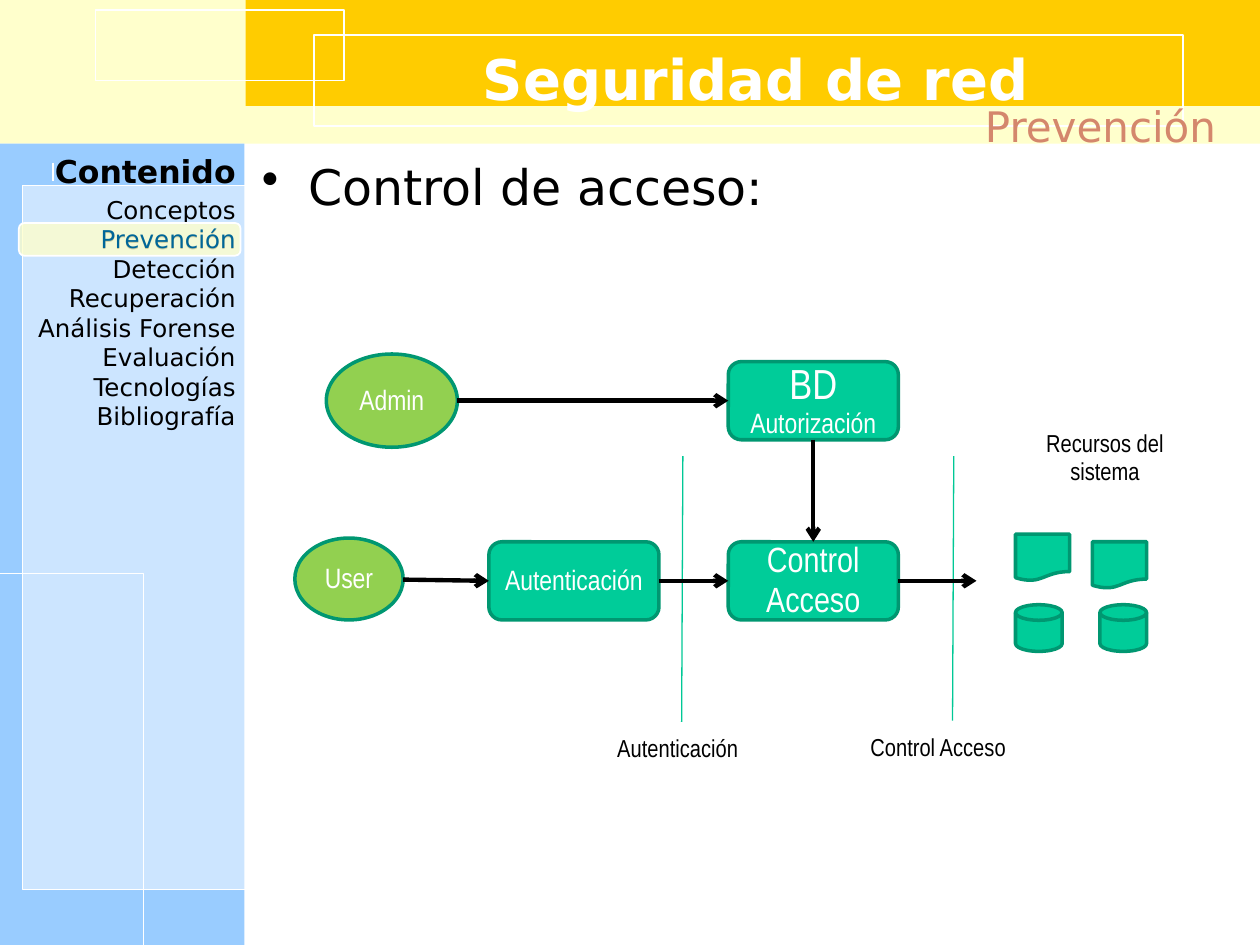
from lxml.etree import SubElement
from pptx import Presentation
from pptx.dml.color import RGBColor
from pptx.enum.shapes import MSO_CONNECTOR, MSO_SHAPE
from pptx.enum.text import MSO_ANCHOR, PP_ALIGN
from pptx.oxml.ns import qn
from pptx.util import Inches, Pt

COLORS = {
    "white": "FFFFFF", "black": "000000", "cream": "FFFFCC", "gold": "FFCC00",
    "sky": "99CCFF", "salmon": "D4876C", "blue": "006699", "teal": "00CC99",
    "border": "009771", "divider": "00C896", "lime": "92D050",
}
SANS = "DejaVu Sans"
NARROW = "Arial Narrow"


def write_text(shape, text, size=14, color="black", font=SANS, bold=False,
               align=PP_ALIGN.LEFT, anchor=MSO_ANCHOR.TOP, spacing=1.0):
    frame = shape.text_frame
    frame.word_wrap = True
    frame.vertical_anchor = anchor
    for index, line in enumerate(text.split("\n")):
        paragraph = frame.add_paragraph() if index else frame.paragraphs[-1]
        paragraph.alignment = align
        paragraph.line_spacing = spacing
        run = paragraph.add_run()
        run.text = line
        run.font.size = Pt(size)
        run.font.name = font
        run.font.bold = bold
        run.font.color.rgb = RGBColor.from_string(COLORS[color])
    return shape


def add_box(kind, box, fill=None, line=None, width=0.75, opacity=100):
    shape = slide.shapes.add_shape(kind, *[Inches(length) for length in box])
    shape.shadow.inherit = False
    if fill:
        shape.fill.solid()
        shape.fill.fore_color.rgb = RGBColor.from_string(COLORS[fill])
        if opacity < 100:
            color = shape.fill._xPr.find(qn("a:solidFill"))[0]
            SubElement(color, qn("a:alpha"), val=str(opacity * 1000))
    else:
        shape.fill.background()
    if line:
        shape.line.color.rgb = RGBColor.from_string(COLORS[line])
        shape.line.width = Pt(width)
    else:
        shape.line.fill.background()
    return shape


presentation = Presentation()
presentation.slide_width = Inches(10)
presentation.slide_height = Inches(7.5)
slide = presentation.slides.add_slide(presentation.slide_layouts[6])

for box, fill, line, width, opacity in [
    ((0, 0, 10, 1.14), "cream", None, 0, 100),
    ((1.95, 0, 8.05, 0.84), "gold", None, 0, 100),
    ((2.49, 0.28, 6.9, 0.72), None, "white", 1, 100),
    ((0.76, 0.08, 1.97, 0.56), None, "white", 0.75, 100),
    ((0, 1.14, 1.94, 6.36), "sky", None, 0, 100),
    ((-0.02, 4.55, 1.16, 2.96), None, "white", 0.75, 100),
    ((0.18, 1.47, 1.77, 5.59), "white", "white", 0.75, 50),
]:
    add_box(MSO_SHAPE.RECTANGLE, box, fill, line, width, opacity)

topics = ["Conceptos", "Prevención", "Detección", "Recuperación",
          "Análisis Forense", "Evaluación", "Tecnologías", "Bibliografía"]
right = {"align": PP_ALIGN.RIGHT}
center = {"align": PP_ALIGN.CENTER}
label = {"font": NARROW, "spacing": 0.94}
node = {**label, **center, "color": "white", "anchor": MSO_ANCHOR.MIDDLE}

text_boxes = [
    ((0, 1.5, 1.97, 1.97), "\n".join(topics), right),
    ((0, 1.16, 1.97, 0.4), "Contenido", {**right, "size": 18, "bold": True}),
    ((2.08, 0.22, 7.84, 0.8), "Seguridad de red",
     {**center, "size": 32, "color": "white", "bold": True,
      "anchor": MSO_ANCHOR.MIDDLE}),
    ((1.95, 0.75, 7.8, 0.57), "Prevención",
     {**right, "size": 24, "color": "salmon"}),
    ((4.8, 5.79, 1.35, 0.32), "Autenticación", label),
    ((6.81, 5.78, 1.54, 0.32), "Control Acceso", label),
    ((8, 3.37, 1.54, 0.54), "Recursos del sistema", {**label, **center}),
]
for box, text, style in text_boxes:
    shape = slide.shapes.add_textbox(*[Inches(length) for length in box])
    write_text(shape, text, **style)

body = slide.shapes.add_textbox(Inches(1.98), Inches(1.28), Inches(8.02), Inches(6.2))
write_text(body, "Control de acceso:", size=28, spacing=0.8)
properties = body.text_frame.paragraphs[0]._p.get_or_add_pPr()
properties.set("marL", str(Inches(0.37)))
properties.set("indent", str(Inches(-0.37)))
SubElement(properties, qn("a:buChar"), char="•")

highlight = add_box(MSO_SHAPE.ROUNDED_RECTANGLE, (0.15, 1.77, 1.76, 0.26),
                    "cream", "white", 1, 80)
highlight.adjustments[0] = 0.17
current = slide.shapes.add_textbox(Inches(0.14), Inches(1.73), Inches(1.83), Inches(0.33))
write_text(current, "Prevención", color="blue", **right)

nodes = {}
for name, kind, box, fill, text, size in [
    ("authentication", MSO_SHAPE.ROUNDED_RECTANGLE, (3.88, 4.3, 1.35, 0.62),
     "teal", "Autenticación", 16),
    ("access", MSO_SHAPE.ROUNDED_RECTANGLE, (5.78, 4.3, 1.35, 0.62),
     "teal", "Control Acceso", 20),
    ("database", MSO_SHAPE.ROUNDED_RECTANGLE, (5.78, 2.87, 1.35, 0.62),
     "teal", "BD ", 24),
    ("user", MSO_SHAPE.OVAL, (2.34, 4.27, 0.86, 0.65), "lime", "User", 16),
    ("admin", MSO_SHAPE.OVAL, (2.59, 2.81, 1.04, 0.74), "lime", "Admin", 16),
]:
    nodes[name] = add_box(kind, box, fill, "border", 2)
    write_text(nodes[name], text, size=size, **node)
write_text(nodes["database"], "Autorización", size=16, **node)

for kind, box in [
    (MSO_SHAPE.FLOWCHART_MAGNETIC_DISK, (8.06, 4.8, 0.37, 0.37)),
    (MSO_SHAPE.FLOWCHART_MAGNETIC_DISK, (8.73, 4.8, 0.37, 0.37)),
    (MSO_SHAPE.FLOWCHART_DOCUMENT, (8.06, 4.24, 0.43, 0.37)),
    (MSO_SHAPE.FLOWCHART_DOCUMENT, (8.67, 4.3, 0.43, 0.37)),
]:
    add_box(kind, box, "teal", "border", 2)

for points, color, width, start, end in [
    ((0.42, 1.29, 0.42, 1.44), "white", 0.75, None, None),
    ((5.42, 3.62, 5.41, 5.73), "divider", 0.75, None, None),
    ((7.57, 3.62, 7.56, 5.72), "divider", 0.75, None, None),
    ((3.63, 3.18, 5.78, 3.18), "black", 2.5, None, ("database", 1)),
    ((6.46, 3.49, 6.46, 4.3), "black", 2.5, ("database", 2), ("access", 0)),
    ((3.2, 4.6, 3.88, 4.61), "black", 2.5, None, ("authentication", 1)),
    ((5.23, 4.61, 5.78, 4.61), "black", 2.5, ("authentication", 3), ("access", 1)),
    ((7.13, 4.61, 7.75, 4.61), "black", 2.5, ("access", 3), None),
]:
    connector = slide.shapes.add_connector(
        MSO_CONNECTOR.STRAIGHT, *[Inches(length) for length in points])
    connector.line.color.rgb = RGBColor.from_string(COLORS[color])
    connector.line.width = Pt(width)
    SubElement(connector._element.spPr, qn("a:effectLst"))
    if start:
        connector.begin_connect(nodes[start[0]], start[1])
    if end:
        connector.end_connect(nodes[end[0]], end[1])
    if color == "black":
        SubElement(connector.line._get_or_add_ln(), qn("a:tailEnd"), type="arrow")

presentation.save("out.pptx")
